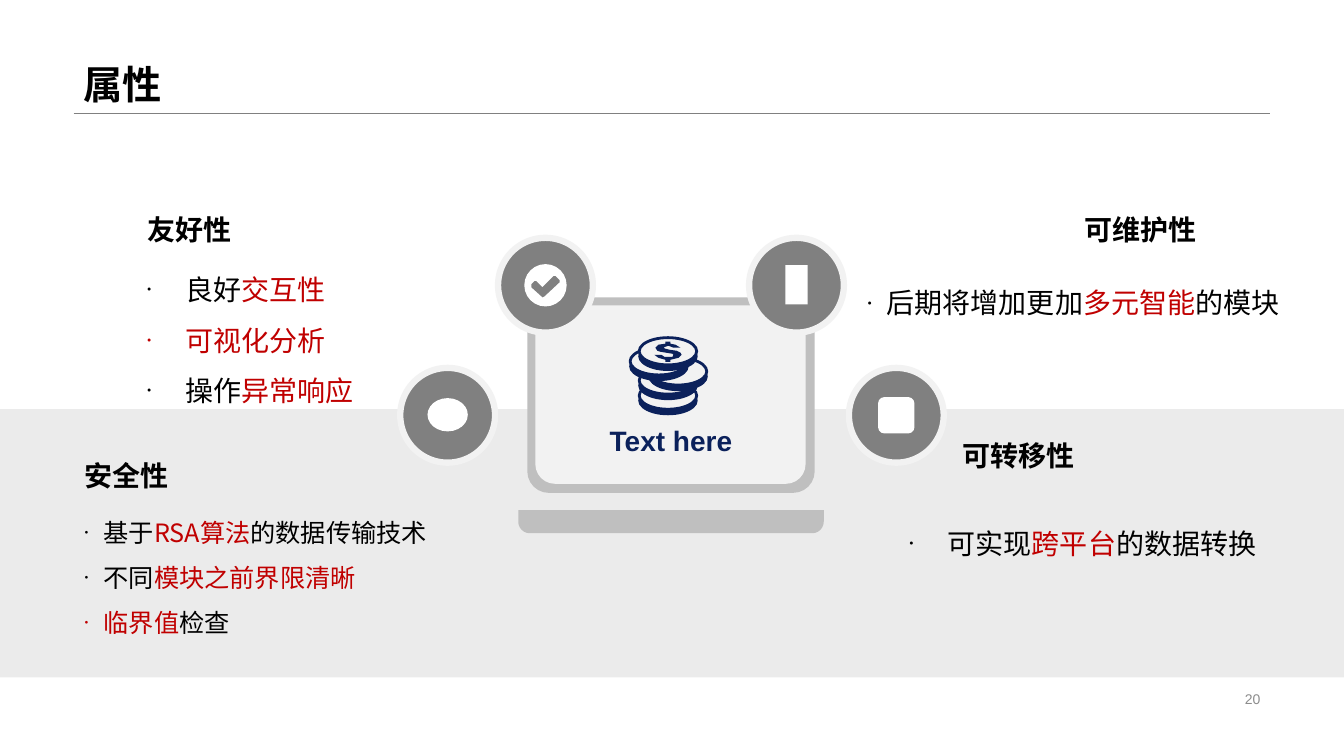
from dataclasses import dataclass

from lxml import etree
from pptx import Presentation
from pptx import util as u
from pptx.dml.color import RGBColor
from pptx.enum import shapes, text
from pptx.oxml import ns

PX = 9144
KIND = shapes.MSO_SHAPE
ALIGN = text.PP_ALIGN
ANCHOR = text.MSO_ANCHOR


@dataclass(frozen=True)
class Theme:
    black: str = "000000"
    red: str = "C00000"
    navy: str = "0B215B"
    white: str = "FFFFFF"
    pale: str = "F2F2F2"
    band: str = "D9D9D9"
    frame: str = "BFBFBF"
    grey: str = "808080"
    page: str = "8C8C8C"
    latin: str = "Arial"
    body: str = "Noto Sans CJK SC"
    title_size: int = 28
    heading_size: int = 20
    dense_size: int = 18
    page_size: int = 10
    ring_width: float = 4.5
    coin_line: float = 2
    rule_width: float = 0.25


THEME = Theme()


def rgb(value):
    return RGBColor.from_string(value)


def emu(*lengths):
    return [u.Emu(length * PX) for length in lengths]


def paint(shape, fill, line=None, width=0):
    shape.shadow.inherit = False
    shape.fill.solid()
    shape.fill.fore_color.rgb = rgb(fill)
    if line:
        shape.line.color.rgb = rgb(line)
        shape.line.width = u.Pt(width)
    else:
        shape.line.fill.background()
    return shape


def solid(slide, kind, box, fill, line=None, width=0):
    return paint(slide.shapes.add_shape(kind, *emu(*box)), fill, line, width)


def polygon(slide, points, fill):
    outline = slide.shapes.build_freeform(*points[0], scale=PX)
    outline.add_line_segments(points[1:], close=True)
    return paint(outline.convert_to_shape(), fill)


def style(paragraph, size, font, color=None, bold=None, align=ALIGN.LEFT):
    paragraph.alignment = align
    paragraph.font.size = u.Pt(size)
    paragraph.font.name = font
    paragraph.font.bold = bold
    if color:
        paragraph.font.color.rgb = rgb(color)


def text_frame(slide, box, anchor):
    frame = slide.shapes.add_textbox(*emu(*box)).text_frame
    frame.word_wrap = True
    frame.vertical_anchor = anchor
    return frame


def label(slide, box, words, size, color, bold=True, align=ALIGN.LEFT, anchor=ANCHOR.MIDDLE):
    paragraph = text_frame(slide, box, anchor).paragraphs[0]
    paragraph.text = words
    style(paragraph, size, THEME.latin, color, bold, align)
    return paragraph


def bullet(paragraph, indent):
    properties = paragraph._p.get_or_add_pPr()
    properties.set("marL", str(indent * PX))
    properties.set("indent", str(-indent * PX))
    marks = [("a:buSzPct", "val", "25000"), ("a:buFont", "typeface", THEME.latin), ("a:buChar", "char", "●")]
    defaults = properties.find(ns.qn("a:defRPr"))
    for tag, key, value in marks:
        mark = etree.Element(ns.qn(tag))
        mark.set(key, value)
        defaults.addprevious(mark)


def header(slide, box, title):
    left, top, width, height = box
    paragraph = label(slide, box, title, THEME.title_size, THEME.black, anchor=ANCHOR.BOTTOM)
    paragraph.line_spacing = 0.9
    bottom = top + height
    rule = slide.shapes.add_connector(
        shapes.MSO_CONNECTOR.STRAIGHT, *emu(left, bottom, left + width, bottom))
    rule.line.color.rgb = rgb(THEME.grey)
    rule.line.width = u.Pt(THEME.rule_width)
    etree.SubElement(rule._element.spPr, ns.qn("a:effectLst"))


def backdrop(slide, box):
    band = solid(slide, KIND.RECTANGLE, box, THEME.band)
    color = band._element.spPr.find(ns.qn("a:solidFill"))[0]
    etree.SubElement(color, ns.qn("a:alpha")).set("val", "50000")


def coins(slide, box):
    left, top, _, _ = box
    for dx, dy in [(9, 44), (9, 29), (19, 20), (0, 10), (9, 0)]:
        x, y = left + dx, top + dy
        solid(slide, KIND.OVAL, (x, y + 5, 59, 29), THEME.navy)
        solid(slide, KIND.OVAL, (x + 1, y + 1, 57, 27), THEME.pale, THEME.navy, THEME.coin_line)
    dollar = [(36, 5), (41, 5), (41, 7), (46, 8), (51, 11), (44, 11), (39, 9), (36, 10), (34, 11),
              (36, 12), (40, 13), (47, 14), (51, 16), (52, 18), (49, 21), (41, 23), (41, 25),
              (36, 25), (36, 23), (29, 21), (25, 18), (32, 18), (35, 20), (39, 20), (43, 20),
              (44, 18), (43, 17), (37, 16), (31, 15), (28, 14), (26, 11), (29, 8), (36, 7)]
    polygon(slide, [(left + x, top + y) for x, y in dollar], THEME.navy)


def laptop(slide, box, caption):
    left, top, width, height = box
    base = solid(slide, KIND.ROUND_2_SAME_RECTANGLE, (left, top + height - 23, width, 23), THEME.frame)
    base.adjustments[0], base.adjustments[1] = 0.5, 0
    base.rotation = 180
    for inset, rise, w, h, fill in [(9, 0, 285, 194, THEME.frame), (17, 8, 268, 177, THEME.pale)]:
        panel = solid(slide, KIND.ROUNDED_RECTANGLE, (left + inset, top + rise, w, h), fill)
        panel.adjustments[0] = 0.11
    coins(slide, (left + 110, top + 39, 78, 78))
    label(slide, (left + 19, top + 115, 265, 53), caption, THEME.heading_size, THEME.navy,
          align=ALIGN.CENTER)


def badge(slide, box, kind, width, height):
    left, top, size, _ = box
    solid(slide, KIND.OVAL, box, THEME.grey, THEME.pale, THEME.ring_width)
    inner = (left + (size - width) // 2, top + (size - height) // 2, width, height)
    solid(slide, kind, inner, THEME.white)


def tick(slide, box):
    badge(slide, box, KIND.OVAL, 42, 42)
    left, top, _, _ = box
    check = [(33, 46), (36, 43), (38, 43), (44, 49), (55, 38), (57, 38), (61, 42), (61, 44),
             (46, 58), (44, 59), (43, 58), (33, 49)]
    polygon(slide, [(left + x, top + y) for x, y in check], THEME.grey)


def quality(slide, box, heading, points, gap=43, indent=38, size=THEME.heading_size,
            heading_align=ALIGN.LEFT, align=ALIGN.LEFT, list_left=0, list_width=352):
    left, top, width, height = box
    label(slide, (left, top, width, height), heading, THEME.heading_size, THEME.black,
          align=heading_align)
    frame = text_frame(slide, (left + list_left, top + gap, list_width, 68), ANCHOR.TOP)
    for index, point in enumerate(points):
        paragraph = frame.add_paragraph() if index else frame.paragraphs[0]
        style(paragraph, size, THEME.body, align=align)
        paragraph.line_spacing = 1.5
        bullet(paragraph, indent)
        for words, color in point:
            run = paragraph.add_run()
            run.text = words
            run.font.color.rgb = rgb(color)


def attributes_slide(slide):
    black, red = THEME.black, THEME.red
    header(slide, (73, 0, 1187, 112), "属性")
    label(slide, (942, 682, 318, 23), "20", THEME.page_size, THEME.page, False, ALIGN.RIGHT)
    backdrop(slide, (0, 406, 1333, 266))
    laptop(slide, (514, 295, 303, 234), "Text here")
    badge(slide, (397, 365, 94, 94), KIND.OVAL, 40, 33)
    badge(slide, (842, 365, 94, 94), KIND.ROUNDED_RECTANGLE, 36, 36)
    tick(slide, (494, 236, 94, 94))
    badge(slide, (743, 236, 94, 94), KIND.RECTANGLE, 22, 39)
    quality(slide, (74, 450, 352, 43), "安全性", [
        [("基于", black), ("RSA算法", red), ("的数据传输技术", black)],
        [("不同", black), ("模块之前界限清晰", red)],
        [("临界值", red), ("检查", black)],
    ], indent=19, size=THEME.dense_size, list_width=407)
    quality(slide, (945, 430, 352, 43), "可转移性", [
        [("可实现", black), ("跨平台", red), ("的数据转换", black)],
    ], gap=71, align=ALIGN.RIGHT, list_left=-76, list_width=387)
    quality(slide, (136, 206, 352, 43), "友好性", [
        [("良好", black), ("交互性", red)],
        [("可视化分析", red)],
        [("操作", black), ("异常响应", red)],
    ])
    quality(slide, (845, 206, 352, 43), "可维护性", [
        [("后期将增加更加", black), ("多元智能", red), ("的模块", black)],
    ], gap=56, indent=19, heading_align=ALIGN.RIGHT, align=ALIGN.RIGHT, list_width=434)


def main():
    deck = Presentation()
    deck.slide_width, deck.slide_height = emu(1333, 750)
    attributes_slide(deck.slides.add_slide(deck.slide_layouts[6]))
    deck.save("out.pptx")


if __name__ == "__main__":
    main()
